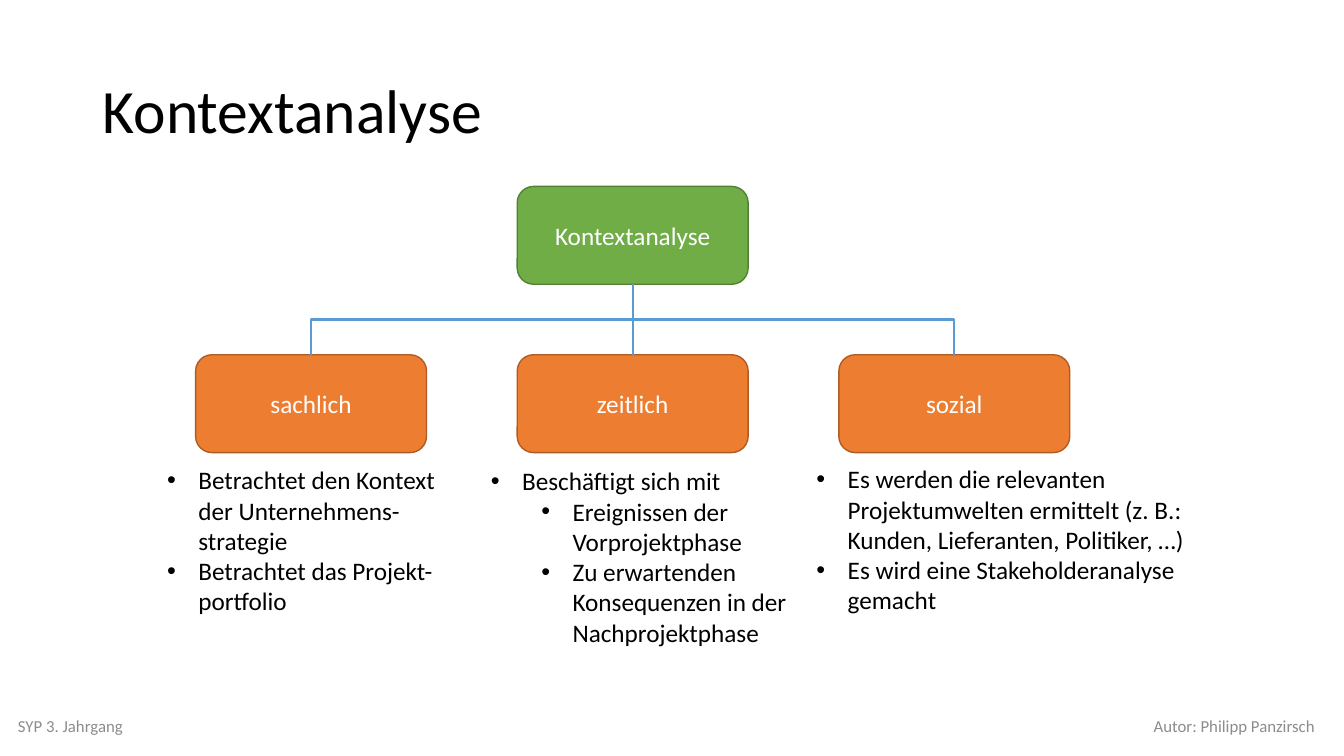
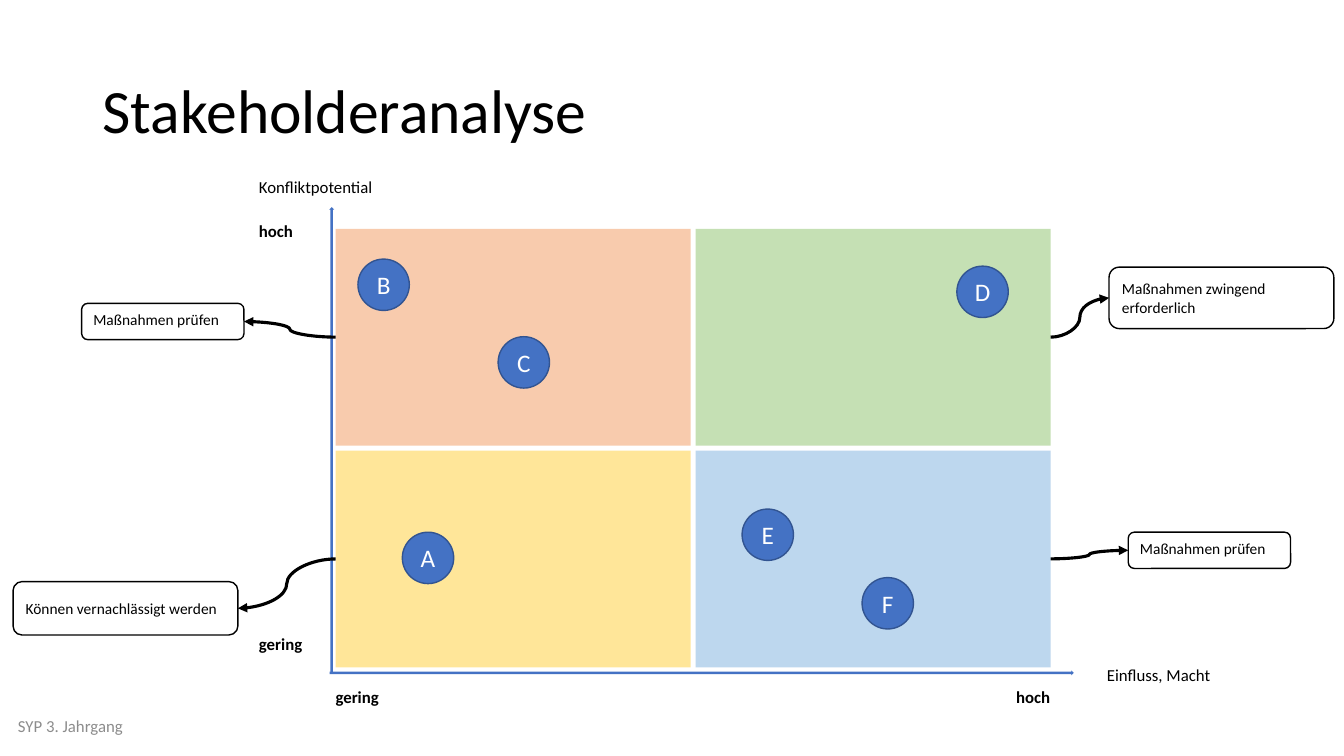
from dataclasses import dataclass
from typing import Optional

from lxml.etree import SubElement
from pptx import Presentation
from pptx.dml.color import RGBColor
from pptx.enum.shapes import MSO_CONNECTOR, MSO_SHAPE
from pptx.enum.text import MSO_ANCHOR, PP_ALIGN
from pptx.oxml.ns import qn
from pptx.shapes.autoshape import Shape
from pptx.shapes.connector import Connector
from pptx.slide import Slide
from pptx.util import Inches, Pt

TOP, LEFT, BOTTOM, RIGHT = range(4)


@dataclass(frozen=True)
class Theme:
    font: str = "Calibri"
    title_size: float = 44
    body_size: float = 18
    label_size: float = 12
    callout_size: float = 11
    black: str = "000000"
    white: str = "FFFFFF"
    footer: str = "8C8C8C"
    root: str = "70AD47"
    root_line: str = "538035"
    branch: str = "ED7D31"
    branch_line: str = "AF5C24"
    tree_line: str = "5B9BD5"
    accent: str = "4472C4"
    accent_line: str = "325491"
    orange: str = "F8CBAD"
    green: str = "C5E0B4"
    yellow: str = "FFE699"
    blue: str = "BDD7EE"


THEME = Theme()


@dataclass(frozen=True)
class Frame:
    left: float
    top: float
    width: float
    height: float

    def lengths(self) -> tuple:
        return tuple(map(Inches, (self.left, self.top, self.width, self.height)))


@dataclass(frozen=True)
class Style:
    size: float
    color: str = THEME.black
    bold: bool = False
    align: PP_ALIGN = PP_ALIGN.LEFT
    anchor: MSO_ANCHOR = MSO_ANCHOR.TOP
    spacing: float = 1.0


@dataclass(frozen=True)
class Bullet:
    text: str
    level: int = 0


@dataclass(frozen=True)
class Branch:
    name: str
    notes: Frame
    bullets: tuple


@dataclass(frozen=True)
class Label:
    text: str
    frame: Frame
    bold: bool = True


@dataclass(frozen=True)
class Quadrant:
    column: int
    row: int
    color: str
    action: str
    callout: Frame
    anchor: MSO_ANCHOR


@dataclass(frozen=True)
class Stakeholder:
    name: str
    left: float
    top: float


TITLE = Style(THEME.title_size, anchor=MSO_ANCHOR.MIDDLE, spacing=0.9)
BODY = Style(THEME.body_size)
NODE = Style(THEME.body_size, THEME.white, align=PP_ALIGN.CENTER, anchor=MSO_ANCHOR.MIDDLE)

BRANCHES = (
    Branch("sachlich", Frame(1.56, 4.56, 3.03, 1.62), (
        Bullet("Betrachtet den Kontext der Unternehmens-strategie"),
        Bullet("Betrachtet das Projekt-portfolio"))),
    Branch("zeitlich", Frame(4.77, 4.57, 3.19, 2.22), (
        Bullet("Beschäftigt sich mit"),
        Bullet("Ereignissen der Vorprojektphase", 1),
        Bullet("Zu erwartenden Konsequenzen in der Nachprojektphase", 1))),
    Branch("sozial", Frame(8, 4.55, 4.1, 1.62), (
        Bullet("Es werden die relevanten Projektumwelten ermittelt "
               "(z. B.: Kunden, Lieferanten, Politiker, …)"),
        Bullet("Es wird eine Stakeholderanalyse gemacht"))),
)

LABELS = (
    Label("Einfluss, Macht", Frame(10.88, 6.55, 2.05, 0.3), False),
    Label("Konfliktpotential", Frame(2.47, 1.7, 1.52, 0.3), False),
    Label("gering", Frame(2.47, 6.24, 0.78, 0.3)),
    Label("hoch", Frame(2.47, 2.14, 0.55, 0.3)),
    Label("gering", Frame(3.23, 6.76, 1.06, 0.3)),
    Label("hoch", Frame(9.98, 6.76, 0.69, 0.3)),
)

QUADRANTS = (
    Quadrant(0, 1, THEME.yellow, "Können vernachlässigt werden",
             Frame(0.13, 5.77, 2.23, 0.53), MSO_ANCHOR.MIDDLE),
    Quadrant(1, 1, THEME.blue, "Maßnahmen prüfen",
             Frame(11.19, 5.28, 1.61, 0.36), MSO_ANCHOR.TOP),
    Quadrant(0, 0, THEME.orange, "Maßnahmen prüfen",
             Frame(0.81, 3.01, 1.61, 0.36), MSO_ANCHOR.TOP),
    Quadrant(1, 0, THEME.green, "Maßnahmen zwingend erforderlich",
             Frame(11, 2.65, 2.23, 0.61), MSO_ANCHOR.MIDDLE),
)

STAKEHOLDERS = (
    Stakeholder("A", 3.99, 5.28),
    Stakeholder("B", 3.55, 2.57),
    Stakeholder("C", 4.94, 3.34),
    Stakeholder("D", 9.49, 2.64),
    Stakeholder("E", 7.36, 5.05),
    Stakeholder("F", 8.55, 5.73),
)


def set_values(target: object, values: dict) -> None:
    for name, value in values.items():
        setattr(target, name, value)


def write(shape: Shape, bullets: tuple, style: Style, bulleted: bool = False) -> None:
    frame = shape.text_frame
    set_values(frame, {"word_wrap": True, "vertical_anchor": style.anchor})
    for index, bullet in enumerate(bullets):
        para = frame.add_paragraph() if index else frame.paragraphs[0]
        set_values(para, {"alignment": style.align, "line_spacing": style.spacing,
                          "level": bullet.level})
        span = para.add_run()
        span.text = bullet.text
        set_values(span.font, {"name": THEME.font, "size": Pt(style.size), "bold": style.bold})
        span.font.color.rgb = RGBColor.from_string(style.color)
        if bulleted:
            properties = para._p.get_or_add_pPr()
            properties.set("marL", str(Inches(0.31 + 0.5 * bullet.level)))
            properties.set("indent", str(Inches(-0.31)))
            SubElement(properties, qn("a:buFont")).set("typeface", "Arial")
            SubElement(properties, qn("a:buChar")).set("char", "•")


def add_text(page: Slide, frame: Frame, text: str, style: Style) -> None:
    write(page.shapes.add_textbox(*frame.lengths()), (Bullet(text),), style)


def add_box(page: Slide, kind: MSO_SHAPE, frame: Frame, fill: str,
            line: Optional[str] = None, text: str = "", style: Style = NODE) -> Shape:
    box = page.shapes.add_shape(kind, *frame.lengths())
    box.shadow.inherit = False
    box.fill.solid()
    box.fill.fore_color.rgb = RGBColor.from_string(fill)
    if line:
        box.line.color.rgb = RGBColor.from_string(line)
        box.line.width = Pt(1)
    else:
        box.line.fill.background()
    if text:
        write(box, (Bullet(text),), style)
    return box


def join(page: Slide, kind: MSO_CONNECTOR, start: Shape, start_side: int, end: Shape,
         end_side: int, color: str, width: float, arrow: bool = False) -> Connector:
    connector = page.shapes.add_connector(kind, 0, 0, 0, 0)
    connector.begin_connect(start, start_side)
    connector.end_connect(end, end_side)
    connector.line.color.rgb = RGBColor.from_string(color)
    connector.line.width = Pt(width)
    properties = connector.element.spPr
    if arrow:
        SubElement(properties.find(qn("a:ln")), qn("a:tailEnd")).set("type", "triangle")
    SubElement(properties, qn("a:effectLst"))
    return connector


def turn_downward(connector: Connector) -> None:
    across, down = connector.width, connector.height
    to_left = connector.end_x < connector.begin_x
    set_values(connector, {
        "left": connector.left + (across - down) // 2,
        "top": connector.top + (down - across) // 2,
        "width": down,
        "height": across,
    })
    transform = connector.element.spPr.find(qn("a:xfrm"))
    for name, value in {"rot": "5400000" if to_left else "16200000",
                        "flipH": "0" if to_left else "1", "flipV": "0"}.items():
        transform.set(name, value)


def add_page(deck: Presentation, title: str, author: str = "") -> Slide:
    page = deck.slides.add_slide(deck.slide_layouts[6])
    add_text(page, Frame(0.92, 0.4, 11.5, 1.45), title, TITLE)
    for left, text, align in ((0.08, "SYP 3. Jahrgang", PP_ALIGN.LEFT),
                              (8.64, author, PP_ALIGN.RIGHT)):
        if text:
            add_text(page, Frame(left, 7, 4.5, 0.4), text,
                     Style(THEME.label_size, THEME.footer, align=align,
                           anchor=MSO_ANCHOR.MIDDLE))
    return page


def build_context_page(deck: Presentation) -> None:
    page = add_page(deck, "Kontextanalyse", "Autor: Philipp Panzirsch")
    first, step, width, height = 1.94, 3.19, 2.29, 0.97
    root = add_box(page, MSO_SHAPE.ROUNDED_RECTANGLE, Frame(first + step, 1.85, width, height),
                   THEME.root, THEME.root_line, "Kontextanalyse")
    for column, branch in enumerate(BRANCHES):
        box = add_box(page, MSO_SHAPE.ROUNDED_RECTANGLE,
                      Frame(first + column * step, 3.52, width, height),
                      THEME.branch, THEME.branch_line, branch.name)
        kind = MSO_CONNECTOR.STRAIGHT if column == 1 else MSO_CONNECTOR.ELBOW
        connector = join(page, kind, root, BOTTOM, box, TOP, THEME.tree_line, 1.5)
        if kind == MSO_CONNECTOR.ELBOW:
            turn_downward(connector)
        notes = page.shapes.add_textbox(*branch.notes.lengths())
        write(notes, branch.bullets, BODY, bulleted=True)


def build_stakeholder_page(deck: Presentation) -> None:
    page = add_page(deck, "Stakeholderanalyse")
    vertical_axis = add_box(page, MSO_SHAPE.RIGHT_ARROW, Frame(0.98, 4.34, 4.62, 0.05),
                            THEME.accent)
    vertical_axis.rotation = 270
    add_box(page, MSO_SHAPE.RIGHT_ARROW, Frame(3.27, 6.65, 7.38, 0.05), THEME.accent)
    for label in LABELS:
        add_text(page, label.frame, label.text, Style(THEME.label_size, bold=label.bold))
    width, height, gap = 3.52, 2.15, 0.05
    for quadrant in QUADRANTS:
        area = add_box(page, MSO_SHAPE.RECTANGLE,
                       Frame(3.33 + quadrant.column * (width + gap),
                             2.27 + quadrant.row * (height + gap), width, height),
                       quadrant.color)
        callout = add_box(page, MSO_SHAPE.ROUNDED_RECTANGLE, quadrant.callout, THEME.white,
                          THEME.black, quadrant.action,
                          Style(THEME.callout_size, anchor=quadrant.anchor))
        start, end = (RIGHT, LEFT) if quadrant.column else (LEFT, RIGHT)
        join(page, MSO_CONNECTOR.CURVE, area, start, callout, end, THEME.black, 2.25, arrow=True)
    for person in STAKEHOLDERS:
        add_box(page, MSO_SHAPE.FLOWCHART_CONNECTOR, Frame(person.left, person.top, 0.51, 0.51),
                THEME.accent, THEME.accent_line, person.name)


def main() -> None:
    deck = Presentation()
    set_values(deck, {"slide_width": Inches(13.33), "slide_height": Inches(7.5)})
    build_context_page(deck)
    build_stakeholder_page(deck)
    deck.save("out.pptx")


if __name__ == "__main__":
    main()
